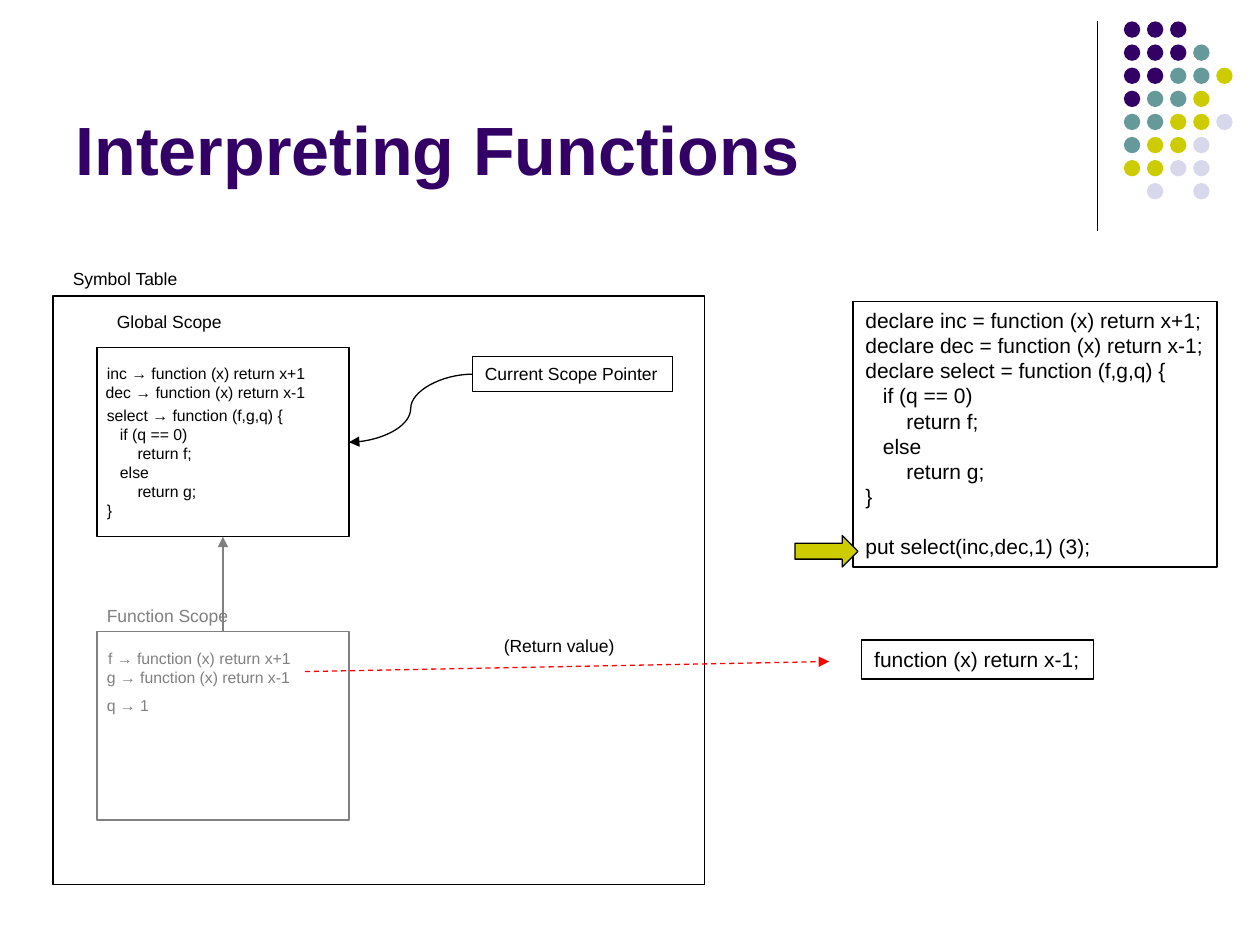
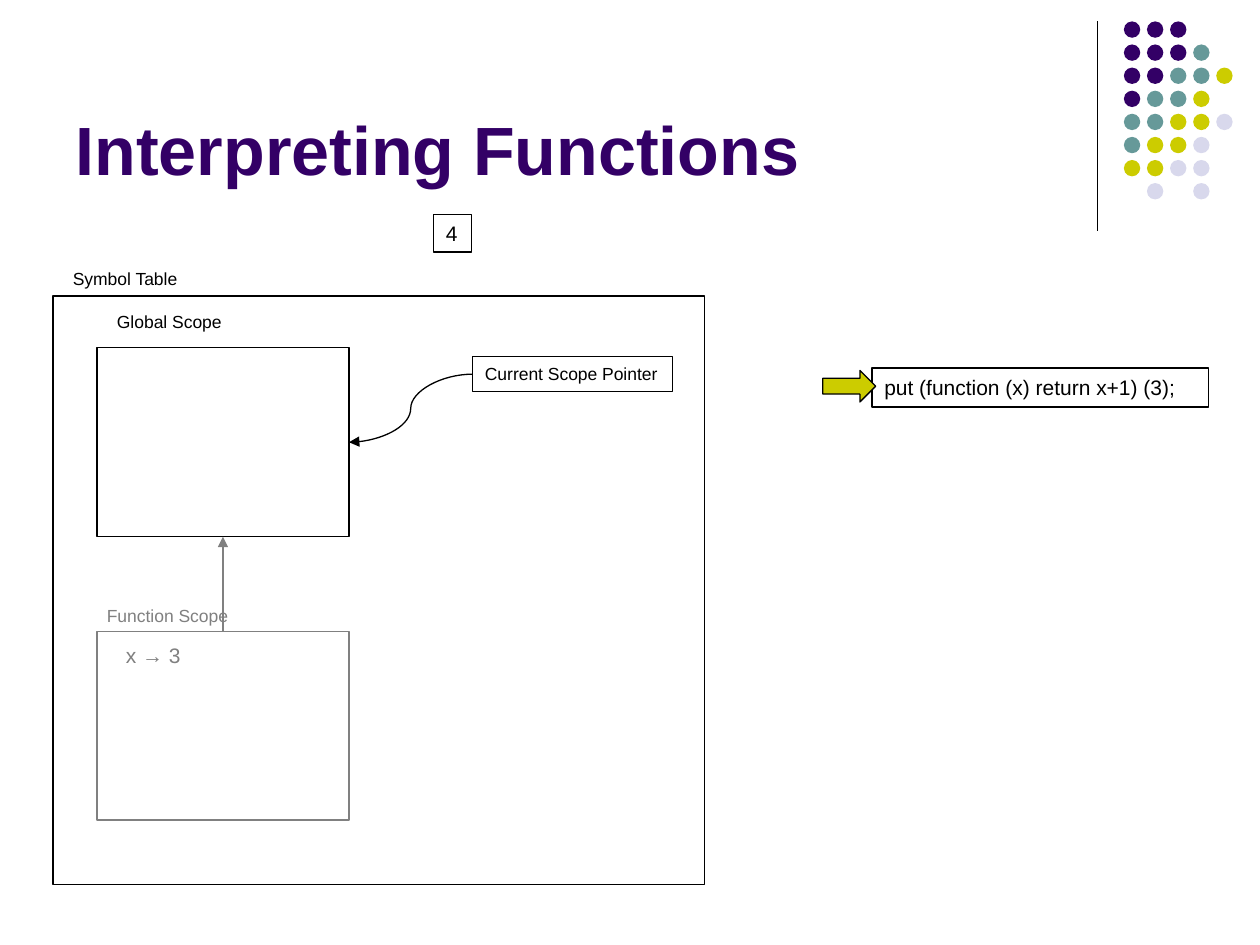
from dataclasses import dataclass

from lxml import etree
from pptx import Presentation
from pptx.dml.color import RGBColor
from pptx.enum.dml import MSO_LINE_DASH_STYLE as Dash
from pptx.enum.shapes import MSO_CONNECTOR as Link, MSO_SHAPE as Form
from pptx.enum.text import MSO_ANCHOR as Anchor, MSO_AUTO_SIZE as Fit, PP_ALIGN as Align
from pptx.oxml.ns import qn
from pptx.util import Inches, Pt


@dataclass(frozen=True)
class Theme:
    font: str = "Arial"
    ink: str = "000000"
    faded: str = "808080"
    accent: str = "330066"
    teal: str = "669999"
    olive: str = "CCCC00"
    pale: str = "D8D8EC"
    alert: str = "FF0000"
    title: int = 39
    code: int = 12
    label: int = 10
    small: int = 9
    line: float = 0.75


THEME = Theme()

# ---- Content ----
TITLE = "Interpreting Functions"
DOT_COLORS = {"P": THEME.accent, "T": THEME.teal, "Y": THEME.olive, "L": THEME.pale}
DOT_ROWS = ["PPP", "PPPT", "PPTTY", "PTTY", "TTYYL", "TYYL", "YYLL", ".L.L"]

# Code lines are (indent in spaces, text); None is an empty line
SELECT_BODY = [(3, "if (q == 0)"), (7, "return f;"), (3, "else"), (7, "return g;"), (0, "}")]
PROGRAM = [
    (0, "declare inc = function (x) return x+1;"),
    (0, "declare dec = function (x) return x-1;"),
    (0, "declare select = function (f,g,q) {"),
    *SELECT_BODY,
    None,
    (0, "put select(inc,dec,1) (3);"),
]

SYMBOL_TABLE = (0.42, 2.35, 5.17, 4.67)
GLOBAL_SCOPE = (0.77, 2.76, 2, 1.5)
FUNCTION_SCOPE = (0.77, 5.01, 2, 1.5)
SCOPE_LABELS = [
    ("Symbol Table", (0.48, 2.08, 1.05, 0.27), THEME.ink),
    ("Global Scope", (0.83, 2.42, 1.03, 0.27), THEME.ink),
    ("Function Scope", (0.75, 4.75, 1.2, 0.27), THEME.faded),
]

# Each text is (lines, place, size, colour, framed)
FIRST_TEXTS = [
    (PROGRAM, (6.77, 2.39, 2.89, 2.11), THEME.code, THEME.ink, True),
    ("inc → function (x) return x+1", (0.75, 2.84, 1.77, 0.25), THEME.small, THEME.ink, False),
    ("dec → function (x) return x-1", (0.74, 2.99, 1.78, 0.25), THEME.small, THEME.ink, False),
    ([(0, "select → function (f,g,q) {"), *SELECT_BODY],
     (0.75, 3.17, 1.6, 1.15), THEME.small, THEME.ink, False),
    ("f → function (x) return x+1", (0.76, 5.1, 1.65, 0.25), THEME.small, THEME.faded, False),
    ("g → function (x) return x-1", (0.75, 5.25, 1.65, 0.25), THEME.small, THEME.faded, False),
    ("q → 1", (0.75, 5.47, 0.53, 0.25), THEME.small, THEME.faded, False),
    ("function (x) return x-1;", (6.84, 5.08, 1.84, 0.31), THEME.code, THEME.ink, True),
    ("(Return value)", (3.9, 4.99, 1.08, 0.27), THEME.label, THEME.ink, False),
]
SECOND_TEXTS = [
    ("put (function (x) return x+1) (3);", (6.92, 2.92, 2.67, 0.31), THEME.code, THEME.ink, True),
    ("x → 3", (0.9, 5.05, 0.63, 0.3), THEME.code, THEME.faded, False),
    ("4", (3.44, 1.7, 0.3, 0.3), THEME.code, THEME.ink, True),
]
# Each page: texts, place of the step arrow, ends of the return arrow
PAGES = [
    (FIRST_TEXTS, (6.31, 4.25, 0.5, 0.25), (2.42, 5.33, 6.58, 5.25)),
    (SECOND_TEXTS, (6.53, 2.94, 0.42, 0.25), None),
]


# ---- Helpers ----
def inches(place):
    return [Inches(value) for value in place]


def rgb(color):
    return RGBColor.from_string(color)


def set_line(shape, color):
    shape.line.color.rgb = rgb(color)
    shape.line.width = Pt(THEME.line)


def set_font(para, size, color, bold=False):
    font = para.font
    font.name, font.size, font.bold = THEME.font, Pt(size), bold
    font.color.rgb = rgb(color)


def add_form(page, form, place, fill=None, line=None):
    shape = page.shapes.add_shape(form, *inches(place))
    shape.shadow.inherit = False
    if fill:
        shape.fill.solid()
        shape.fill.fore_color.rgb = rgb(fill)
    else:
        shape.fill.background()
    if line:
        set_line(shape, line)
    else:
        shape.line.fill.background()
    return shape


def add_text(page, lines, place, size, color, framed=False):
    box = page.shapes.add_textbox(*inches(place))
    frame = box.text_frame
    frame.word_wrap = True
    frame.auto_size = Fit.NONE
    frame.margin_right = 0  # spare room, so that no line breaks
    if framed:
        set_line(box, color)
    if isinstance(lines, str):
        lines = [(0, lines)]
    para, gap = frame.paragraphs[0], 0
    for number, line in enumerate(lines):
        if line is None:
            gap = size * 1.15
            continue
        indent, text = line
        if number:
            para = frame.add_paragraph()
        para.text = text
        set_font(para, size, color)
        if indent:  # an Arial space is 0.278 em wide
            para._p.get_or_add_pPr().set("marL", str(Pt(indent * 0.278 * size)))
        if gap:
            para.space_before, gap = Pt(gap), 0
    return box


def add_link(page, ends, color, kind=Link.STRAIGHT, arrow=True, dash=None):
    link = page.shapes.add_connector(kind, *inches(ends))
    set_line(link, color)
    if dash:
        link.line.dash_style = dash
    if arrow:
        etree.SubElement(link.line._get_or_add_ln(), qn("a:tailEnd"), type="triangle")
    etree.SubElement(link._element.spPr, qn("a:effectLst"))
    return link


# ---- Shared parts ----
def decorate(layout, page):
    """Draw the rule and the dot pattern, and move them to the layout."""
    parts = [add_link(page, (8.71, 0.17, 8.71, 1.83), THEME.ink, arrow=False)]
    pitch = 0.55 / 3
    for row, codes in enumerate(DOT_ROWS):
        for column, code in enumerate(codes):
            if code in DOT_COLORS:
                place = (8.92 + column * pitch, 0.17 + row * pitch, 0.13, 0.13)
                parts.append(add_form(page, Form.OVAL, place, DOT_COLORS[code]))
    for part in parts:
        layout.shapes._spTree.append(part._element)


def add_title(page):
    title = page.shapes.title
    title.left, title.top, title.width, title.height = inches((0.5, 0.13, 8.25, 1.42))
    frame = title.text_frame
    frame.text = TITLE
    frame.vertical_anchor = Anchor.BOTTOM
    frame.auto_size = Fit.NONE
    para = frame.paragraphs[0]
    para.alignment = Align.LEFT
    set_font(para, THEME.title, THEME.accent, bold=True)


def add_scopes(page):
    add_form(page, Form.RECTANGLE, SYMBOL_TABLE, line=THEME.ink)
    outer = add_form(page, Form.RECTANGLE, GLOBAL_SCOPE, line=THEME.ink)
    inner = add_form(page, Form.RECTANGLE, FUNCTION_SCOPE, line=THEME.faded)
    parent = add_link(page, (1.77, 5.01, 1.77, 4.26), THEME.faded)
    parent.begin_connect(inner, 0)
    parent.end_connect(outer, 2)
    for text, place, color in SCOPE_LABELS:
        add_text(page, text, place, THEME.label, color)
    pointer = add_text(page, "Current Scope Pointer", (3.75, 2.83, 1.59, 0.28),
                       THEME.label, THEME.ink, framed=True)
    current = add_link(page, (3.75, 2.97, 2.77, 3.51), THEME.ink, Link.CURVE)
    current.begin_connect(pointer, 1)
    current.end_connect(outer, 3)


# ---- Build the deck ----
deck = Presentation()
deck.slide_width, deck.slide_height = Inches(10), Inches(7.5)
title_only = deck.slide_layouts[5]

for number, (texts, step_arrow, return_arrow) in enumerate(PAGES):
    page = deck.slides.add_slide(title_only)
    if number == 0:
        decorate(title_only, page)
    add_title(page)
    add_scopes(page)
    for text in texts:
        add_text(page, *text)
    add_form(page, Form.RIGHT_ARROW, step_arrow, THEME.olive, THEME.ink)
    if return_arrow:
        add_link(page, return_arrow, THEME.alert, dash=Dash.DASH)

deck.save("out.pptx")
